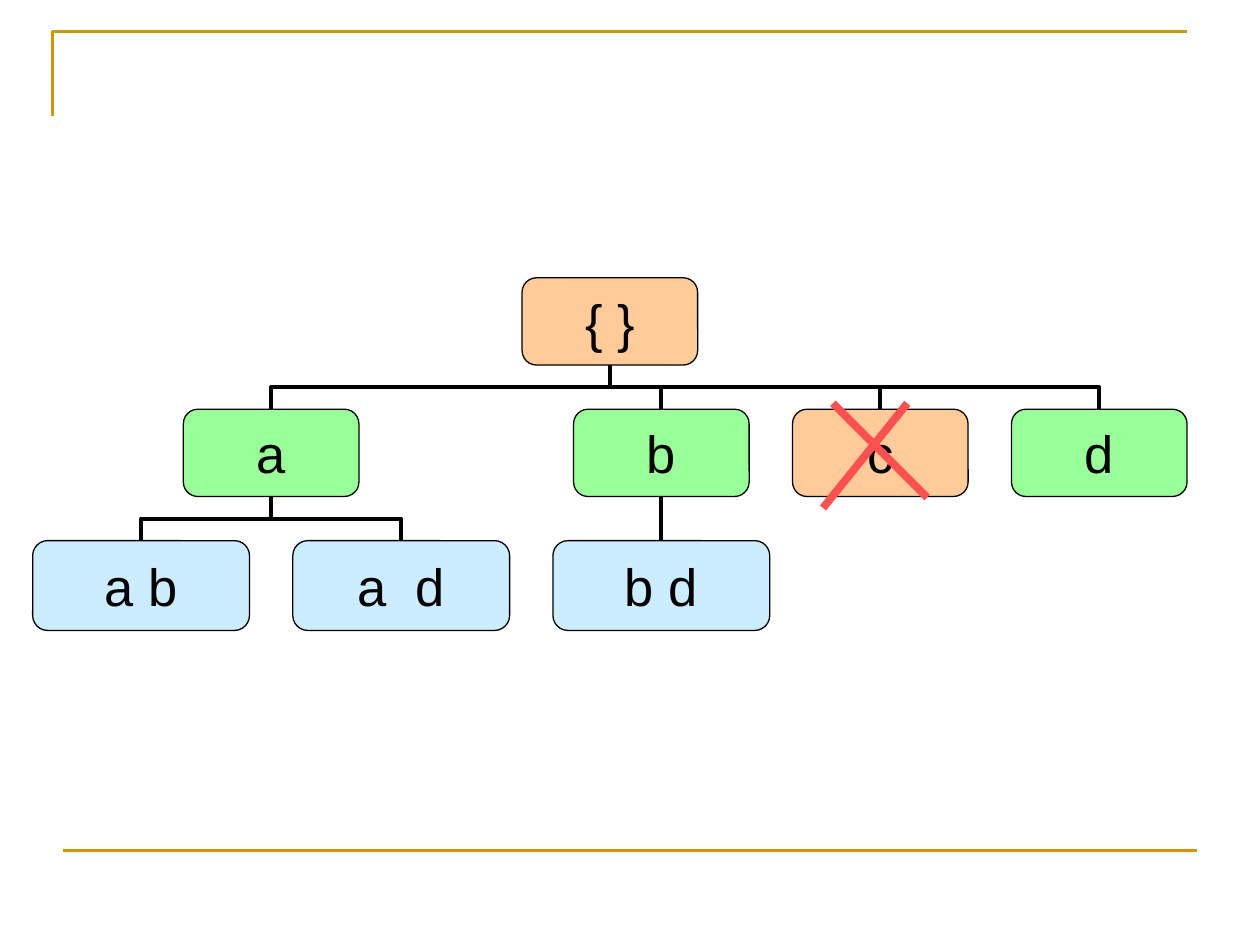
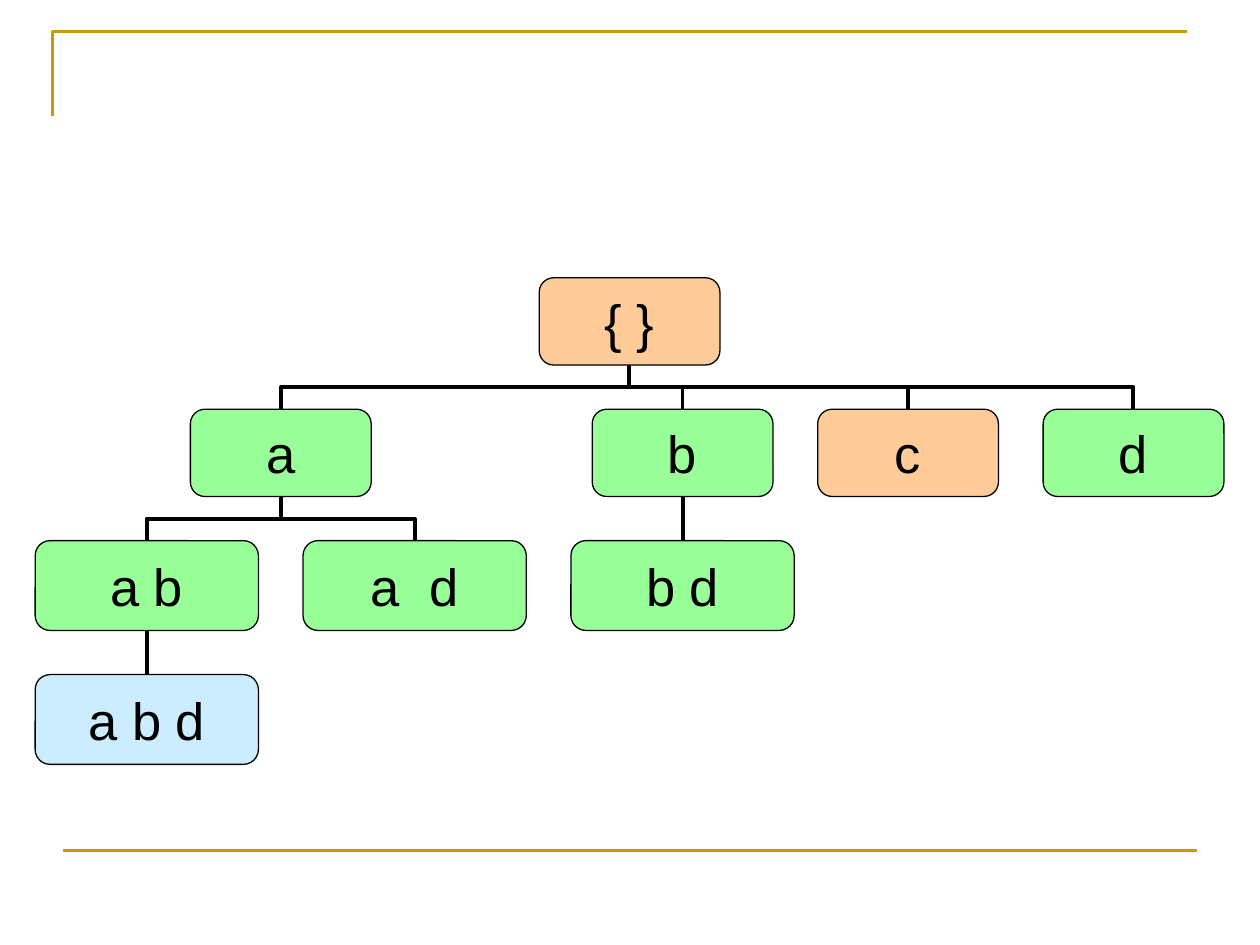
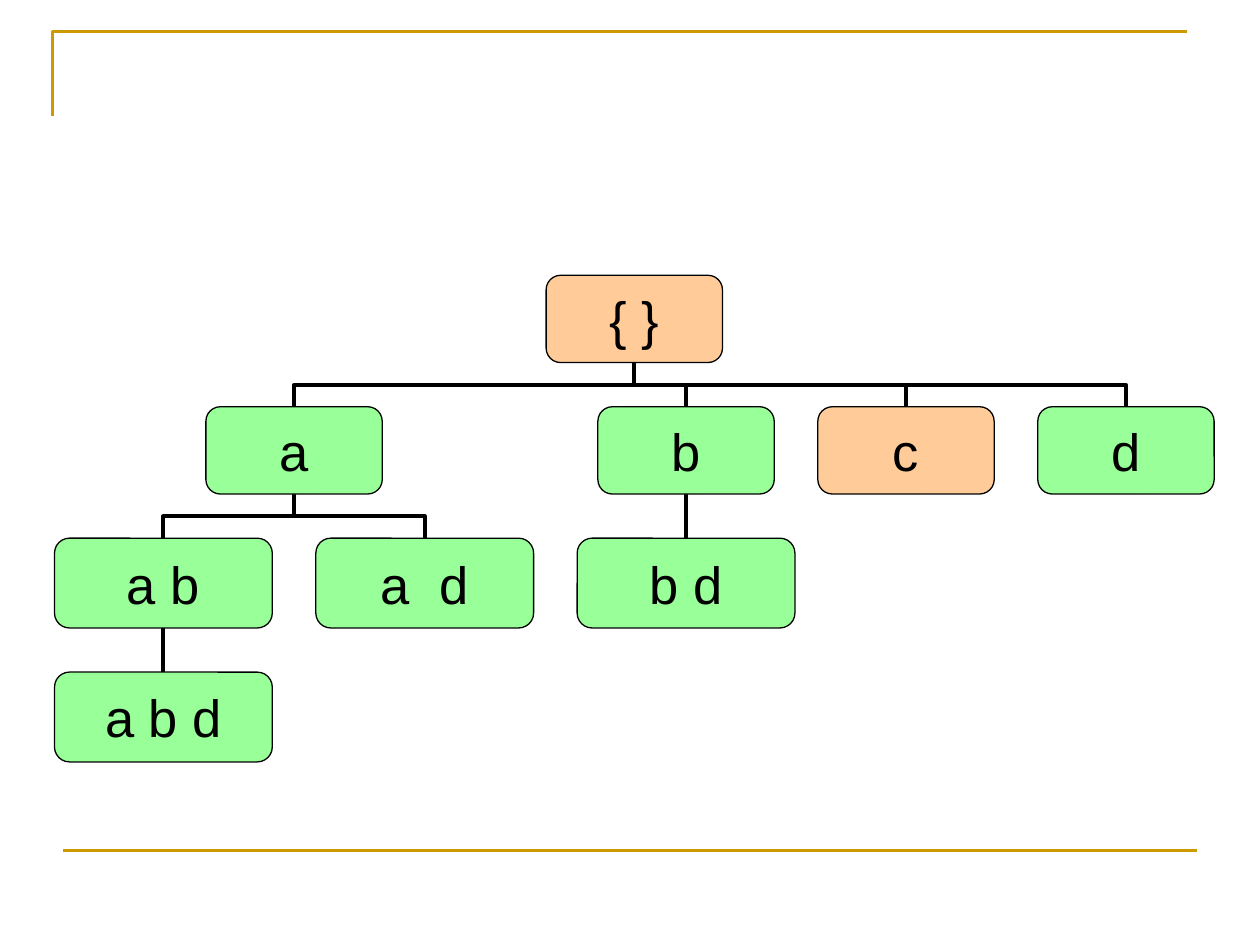
from pptx import Presentation
from pptx import util as u
from pptx.dml import color
from pptx.enum import shapes, text
from pptx.oxml import ns, xmlchemy

GOLD, BLACK, RED = "CC9900", "000000", "FF5050"
ORANGE, GREEN, BLUE = "FFCC99", "99FF99", "CCECFF"


def rgb(value):
    return color.RGBColor.from_string(value)


class Deck:
    font, size = "Arial", 30
    narrow_ratio, gap_ratio = 0.81, 0.2
    narrow_height, wide_height, row_gap = 1.76, 1.81, 0.89

    def __init__(self):
        self.prs = Presentation()
        self.prs.slide_width, self.prs.slide_height = u.Cm(25.4), u.Cm(19.05)

    def slide(self):
        self.s = self.prs.slides.add_slide(self.prs.slide_layouts[6])
        fb = self.s.shapes.build_freeform(u.Cm(1.06), u.Cm(2.34))
        fb.add_line_segments([(u.Cm(1.06), u.Cm(0.64)), (u.Cm(23.92), u.Cm(0.64))], close=False)
        sp = fb.convert_to_shape()
        sp.shadow.inherit = False
        sp.fill.background()
        self.stroke(sp, GOLD, 1.5)
        self.line(self.s, (1.27, 17.14), (24.13, 17.14), GOLD, 1.5)

    def group(self):
        return self.s.shapes.add_group_shape()

    def stroke(self, sp, hue, width):
        sp.line.color.rgb = rgb(hue)
        sp.line.width = u.Pt(width)

    def line(self, parent, start, end, hue, width, kind=shapes.MSO_CONNECTOR.STRAIGHT):
        c = parent.shapes.add_connector(kind, *[u.Cm(v) for v in (*start, *end)])
        self.stroke(c, hue, width)
        c._element.spPr.append(xmlchemy.OxmlElement("a:effectLst"))
        return c

    def branch(self, parent, child, root):
        (x1, y1), (x2, y2) = child, root
        if abs(x1 - x2) < 0.01:
            return self.line(parent, child, root, BLACK, 2.25)
        cx, cy = (x1 + x2) / 2, (y1 + y2) / 2
        dx, dy = abs(x1 - x2) / 2, (y1 - y2) / 2
        turn, side = (90, 1) if x1 > x2 else (270, -1)
        c = self.line(parent, (cx + side * dy, cy - dx), (cx - side * dy, cy + dx),
                      BLACK, 2.25, shapes.MSO_CONNECTOR.ELBOW)
        c._element.spPr.find(ns.qn("a:xfrm")).set("rot", str(turn * 60000))

    def box(self, parent, label, fill, cx, top, width, height):
        sp = parent.shapes.add_shape(shapes.MSO_SHAPE.ROUNDED_RECTANGLE, u.Cm(cx - width / 2),
                                     u.Cm(top), u.Cm(width), u.Cm(height))
        sp.shadow.inherit = False
        sp.fill.solid()
        sp.fill.fore_color.rgb = rgb(fill)
        self.stroke(sp, BLACK, 0.75)
        tf = sp.text_frame
        tf.word_wrap = False
        tf.vertical_anchor = text.MSO_ANCHOR.MIDDLE
        tf.margin_left = tf.margin_right = u.Cm(0.15)
        tf.margin_top = tf.margin_bottom = u.Cm(0.08)
        p = tf.paragraphs[0]
        p.alignment = text.PP_ALIGN.CENTER
        r = p.add_run()
        r.text = label
        r.font.name, r.font.size = self.font, u.Pt(self.size)
        r.font.color.rgb = rgb(BLACK)

    def tree(self, left, top, wide, pair_fill, triple_fill=None):
        narrow, gap = wide * self.narrow_ratio, wide * self.gap_ratio
        ab, ad, bd = [left + wide / 2 + i * (wide + gap) for i in range(3)]
        c, d = [bd + i * (narrow + gap) for i in (1, 2)]
        root = (left + d + narrow / 2) / 2
        nodes = {
            "{ }": (root, 0, ORANGE, None),
            "a": ((ab + ad) / 2, 1, GREEN, "{ }"),
            "b": (bd, 1, GREEN, "{ }"),
            "c": (c, 1, ORANGE, "{ }"),
            "d": (d, 1, GREEN, "{ }"),
            "a b": (ab, 2, pair_fill, "a"),
            "a  d": (ad, 2, pair_fill, "a"),
            "b d": (bd, 2, pair_fill, "b"),
        }
        if triple_fill:
            nodes["a b d"] = (ab, 3, triple_fill, "a b")
        sizes = [(narrow, self.narrow_height)] * 2 + [(wide, self.wide_height)] * 2
        tops = [top + sum(h + self.row_gap for _, h in sizes[:i]) for i in range(4)]
        g = self.group()
        for x, row, _, parent in nodes.values():
            if parent:
                self.branch(g, (x, tops[row]), (nodes[parent][0], tops[row] - self.row_gap))
        for label, (x, row, fill, _) in nodes.items():
            self.box(g, label, fill, x, tops[row], *sizes[row])

    def cross(self, *strokes):
        g = self.group()
        for start, end in strokes:
            self.line(g, start, end, RED, 4.5)


deck = Deck()

deck.slide()
deck.tree(0.66, 5.6, 4.37, BLUE)
deck.cross(((18.29, 8.13), (16.59, 10.24)), ((16.79, 8.13), (18.69, 10.03)))

deck.slide()
deck.tree(0.71, 5.6, 4.5, GREEN, BLUE)

deck.slide()
deck.tree(1.1, 5.55, 4.39, GREEN, GREEN)

deck.prs.save("out.pptx")
